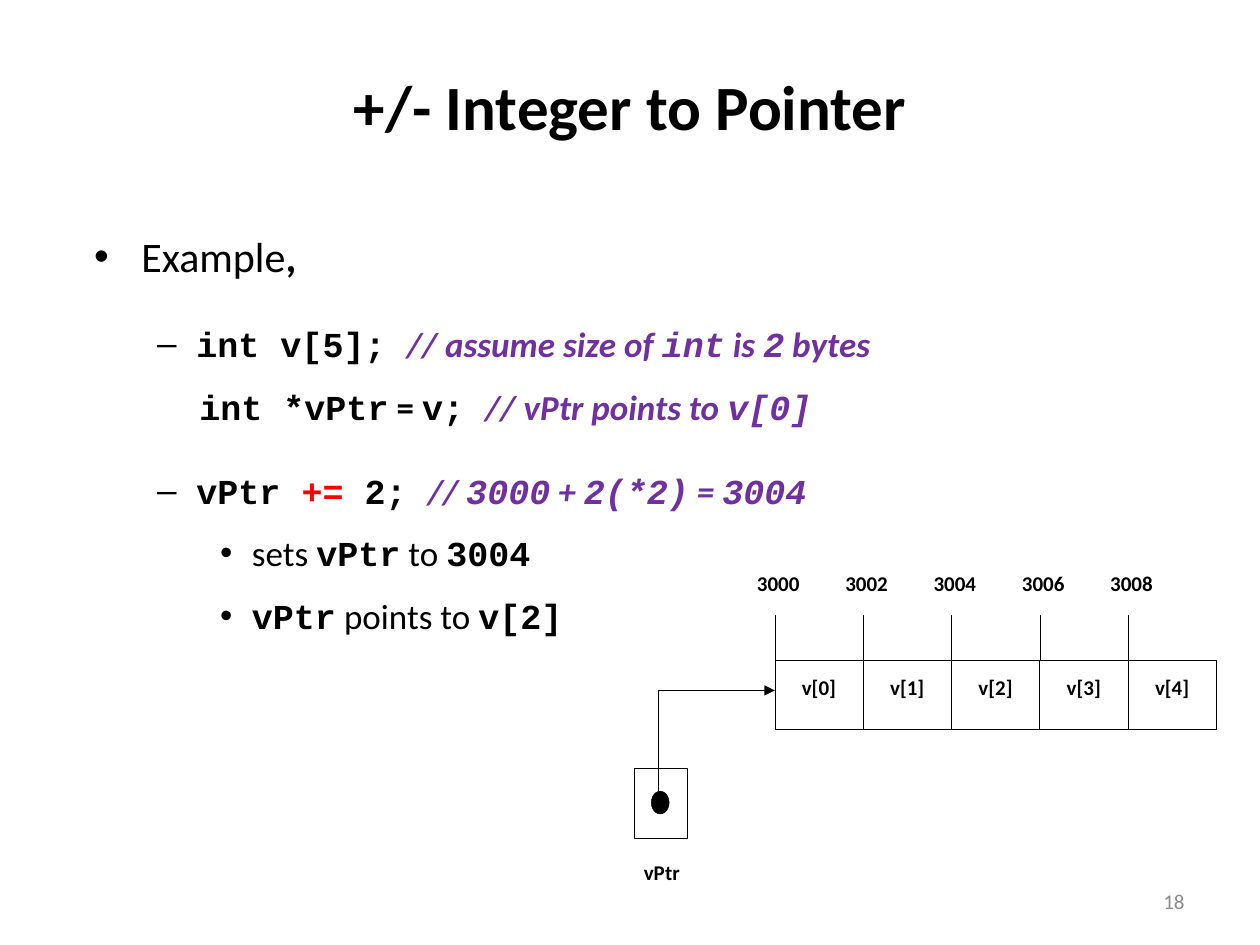
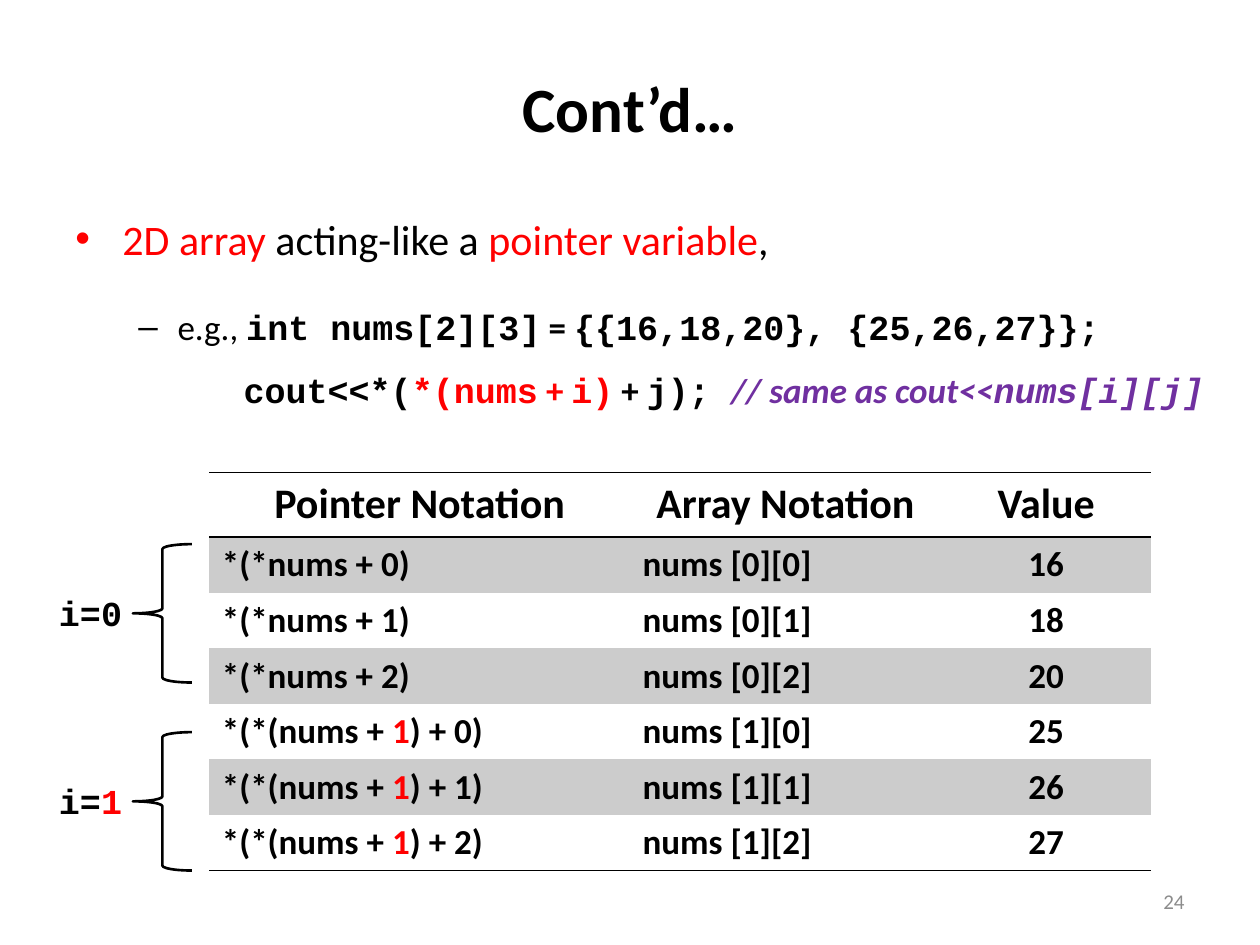
import dataclasses
from typing import NamedTuple

import lxml.etree
import pptx
import pptx.dml.color
import pptx.enum.shapes
import pptx.enum.text
import pptx.oxml.ns
import pptx.slide
import pptx.util

Cm = pptx.util.Cm
Pt = pptx.util.Pt
qn = pptx.oxml.ns.qn
ALIGN = pptx.enum.text.PP_ALIGN
ANCHOR = pptx.enum.text.MSO_ANCHOR
SHAPE = pptx.enum.shapes.MSO_SHAPE


@dataclasses.dataclass(frozen=True)
class Theme:
    sans: str = "Calibri"
    mono: str = "Courier New"
    black: str = "000000"
    red: str = "FF0000"
    purple: str = "7030A0"
    grey: str = "8C8C8C"
    band: str = "CCCCCC"
    title: int = 36
    lead: int = 24
    body: int = 20
    small: int = 12
    hairline: float = 0.25
    rule: float = 1
    brace: float = 1.5


T = Theme()


class Run(NamedTuple):
    text: str
    size: int = T.body
    font: str = T.sans
    color: str = T.black
    bold: bool = False
    italic: bool = False


class Para(NamedTuple):
    runs: list[Run]
    margin: float = 0
    hang: float = 0
    bullet: str = ""
    before: float = 0
    spacing: float = 1
    align: ALIGN = ALIGN.LEFT


class Box(NamedTuple):
    left: float
    top: float
    width: float
    height: float

    def lengths(self) -> list[pptx.util.Length]:
        return [Cm(v) for v in self]


def code(text: str, color: str = T.black) -> Run:
    return Run(text, font=T.mono, color=color, bold=True)


def strong(text: str, color: str = T.black, size: int = T.body) -> Run:
    return Run(text, size, color=color, bold=True)


def note(text: str, font: str = T.sans) -> Run:
    return Run(text, font=font, color=T.purple, bold=True, italic=True)


def note_code(text: str) -> Run:
    return note(text, T.mono)


def lead(*runs: Run) -> Para:
    return Para(list(runs), 0.95, 0.95, "•")


def dash(before: float, spacing: float, *runs: Run) -> Para:
    return Para(list(runs), 2.06, 0.79, "–", before, spacing)


def code_line(margin: float, *runs: Run) -> Para:
    return Para(list(runs), margin, spacing=1.5)


def point(*runs: Run) -> Para:
    return Para(list(runs), 3.18, 0.64, "•", 11.5)


def rgb(color: str) -> pptx.dml.color.RGBColor:
    return pptx.dml.color.RGBColor.from_string(color)


def write(tf: pptx.text.text.TextFrame, paras: list[Para]) -> None:
    for i, para in enumerate(paras):
        p = tf.add_paragraph() if i else tf.paragraphs[0]
        p.alignment = para.align
        p.line_spacing = para.spacing
        p.space_before = Pt(para.before)
        pPr = p._p.get_or_add_pPr()
        pPr.set("marL", str(Cm(para.margin)))
        pPr.set("indent", str(Cm(-para.hang)))
        if para.bullet:
            lxml.etree.SubElement(pPr, qn("a:buFont"), typeface="Arial")
            lxml.etree.SubElement(pPr, qn("a:buChar"), char=para.bullet)
        for run in para.runs:
            r = p.add_run()
            r.text = run.text
            r.font.size = Pt(run.size)
            r.font.name = run.font
            r.font.bold = run.bold
            r.font.italic = run.italic
            r.font.color.rgb = rgb(run.color)


def set_inset(tf: pptx.text.text.TextFrame, top: float = 0) -> None:
    tf.margin_left = tf.margin_right = tf.margin_bottom = 0
    tf.margin_top = Cm(top)


def add_text(s: pptx.slide.Slide, box: Box, paras: list[Para],
             anchor: ANCHOR = ANCHOR.TOP, inset: bool = True) -> None:
    tf = s.shapes.add_textbox(*box.lengths()).text_frame
    tf.word_wrap = True
    tf.vertical_anchor = anchor
    if not inset:
        set_inset(tf)
    write(tf, paras)


def style_outline(sp: pptx.shapes.autoshape.Shape, width: float, fill: str = "") -> None:
    sp.shadow.inherit = False
    sp.line.color.rgb = rgb(T.black)
    sp.line.width = Pt(width)
    if fill:
        sp.fill.solid()
        sp.fill.fore_color.rgb = rgb(fill)
    else:
        sp.fill.background()


def add_outline(s: pptx.slide.Slide, kind: SHAPE, box: Box, width: float = T.hairline,
                fill: str = "") -> pptx.shapes.autoshape.Shape:
    sp = s.shapes.add_shape(kind, *box.lengths())
    style_outline(sp, width, fill)
    return sp


def add_tick(s: pptx.slide.Slide, x: float, top: float, bottom: float) -> None:
    line = s.shapes.add_connector(pptx.enum.shapes.MSO_CONNECTOR.STRAIGHT,
                                  Cm(x), Cm(top), Cm(x), Cm(bottom))
    line.line.color.rgb = rgb(T.black)
    line.line.width = Pt(T.hairline)
    lxml.etree.SubElement(line._element.spPr, qn("a:effectLst"))


def add_arrow(s: pptx.slide.Slide, points: list[tuple[float, float]]) -> None:
    start, *rest = [(Cm(x), Cm(y)) for x, y in points]
    builder = s.shapes.build_freeform(*start)
    builder.add_line_segments(rest, close=False)
    sp = builder.convert_to_shape()
    style_outline(sp, T.hairline)
    lxml.etree.SubElement(sp.line._get_or_add_ln(), qn("a:tailEnd"), type="triangle")


def add_slide(prs: pptx.presentation.Presentation, title: str, title_top: float,
              number: int, body_box: Box, body: list[Para]) -> pptx.slide.Slide:
    s = prs.slides.add_slide(prs.slide_layouts[6])
    add_text(s, Box(1.27, title_top, 22.86, 3.18),
             [Para([strong(title, size=T.title)], align=ALIGN.CENTER)], ANCHOR.MIDDLE)
    add_text(s, body_box, body)
    add_text(s, Box(18.21, 17.65, 5.92, 1.02),
             [Para([Run(str(number), T.small, color=T.grey)], align=ALIGN.RIGHT)], ANCHOR.MIDDLE)
    return s


def draw_memory(s: pptx.slide.Slide) -> None:
    left, top, cell_width, cell_height = 15.62, 13.31, 1.78, 1.4
    for i in range(5):
        x = left + i * cell_width
        cell = add_outline(s, SHAPE.RECTANGLE, Box(x, top, cell_width, cell_height))
        cell.text_frame.vertical_anchor = ANCHOR.TOP
        set_inset(cell.text_frame, 0.28)
        write(cell.text_frame, [Para([strong(f"v[{i}]", size=T.small)], align=ALIGN.CENTER)])
        add_tick(s, x, 12.4, top)
        add_text(s, Box(x - 0.63, 11.51, 1.4, 0.99),
                 [Para([strong(str(3000 + 2 * i), size=T.small)], align=ALIGN.CENTER)], inset=False)
    add_outline(s, SHAPE.RECTANGLE, Box(12.78, 15.49, 1.07, cell_height))
    add_outline(s, SHAPE.OVAL, Box(13.13, 15.95, 0.36, 0.46), fill=T.black)
    add_arrow(s, [(13.28, 15.98), (13.28, 13.92), (left, 13.92)])
    add_text(s, Box(12.98, 17.32, 1.6, 0.99), [Para([strong("vPtr", size=T.small)])], inset=False)


def set_borders(cell: pptx.table._Cell, ruled: set[str]) -> None:
    tcPr = cell._tc.get_or_add_tcPr()
    for side in "LRTB":
        ln = lxml.etree.SubElement(tcPr, qn(f"a:ln{side}"), w=str(Pt(T.rule)))
        if side in ruled:
            fill = lxml.etree.SubElement(ln, qn("a:solidFill"))
            lxml.etree.SubElement(fill, qn("a:srgbClr"), val=T.black)
        else:
            lxml.etree.SubElement(ln, qn("a:noFill"))


def notation_rows() -> list[list[list[Run]]]:
    rows = [[[strong(h, size=T.lead)] for h in ("Pointer Notation", "Array Notation", "Value")]]
    for i, values in enumerate([(16, 18, 20), (25, 26, 27)]):
        for j, value in enumerate(values):
            if i:
                pointer = [strong("*(*(nums + "), strong(str(i), T.red), strong(f") + {j})")]
            else:
                pointer = [strong(f"*(*nums + {j})")]
            rows.append([pointer, [strong(f"nums [{i}][{j}]")], [strong(str(value))]])
    return rows


def draw_notation_table(s: pptx.slide.Slide) -> None:
    rows = notation_rows()
    widths = [8.48, 6.27, 4.24]
    header_height, row_height = 1.3, 1.12
    height = header_height + row_height * (len(rows) - 1)
    box = Box(4.22, 9.53, sum(widths), height)
    table = s.shapes.add_table(len(rows), len(widths), *box.lengths()).table
    table.first_row = table.horz_banding = False
    for column, width in zip(table.columns, widths):
        column.width = Cm(width)
    ruled_edges = {0, 1, len(rows)}
    for y, row in enumerate(rows):
        table.rows[y].height = Cm(row_height if y else header_height)
        ruled = {side for side, edge in (("T", y), ("B", y + 1)) if edge in ruled_edges}
        for x, runs in enumerate(row):
            cell = table.cell(y, x)
            set_borders(cell, ruled)
            if y % 2:
                cell.fill.solid()
                cell.fill.fore_color.rgb = rgb(T.band)
            else:
                cell.fill.background()
            centred = y == 0 or x == 2
            write(cell.text_frame, [Para(runs, align=ALIGN.CENTER if centred else ALIGN.LEFT)])


def draw_braces(s: pptx.slide.Slide) -> None:
    for top, runs in [(10.97, [code("i=0")]), (14.76, [code("i="), code("1", T.red)])]:
        add_outline(s, SHAPE.LEFT_BRACE, Box(2.68, top, 1.19, 2.79), T.brace)
        add_text(s, Box(0.94, top + 0.83, 1.84, 1.12), [Para(runs)])


def main() -> None:
    prs = pptx.Presentation()
    prs.slide_width, prs.slide_height = Cm(25.4), Cm(19.05)

    s = add_slide(prs, "+/- Integer to Pointer", 0.53, 18, Box(1.65, 4.52, 22.86, 14.02), [
        lead(Run("Example", T.lead), strong(",", size=T.lead)),
        dash(12, 1.5, code("int v[5]; "), note("// assume size of "), note_code("int"),
             note(" is "), note_code("2"), note(" bytes")),
        code_line(2.12, code("int *vPtr"), strong(" = "), code("v; "),
                  note("// vPtr points to "), note_code("v[0]")),
        dash(24, 1, code("vPtr "), code("+=", T.red), code(" 2; "), note("// "),
             note_code("3000"), note(" + "), note_code("2(*2)"), note(" = "), note_code("3004")),
        point(Run("sets "), code("vPtr"), Run(" to "), code("3004")),
        point(code("vPtr"), Run(" points to "), code("v[2]")),
    ])
    draw_memory(s)

    s = add_slide(prs, "Cont’d…", 0.58, 24, Box(1.27, 4.17, 23.83, 12.57), [
        lead(Run("2D array ", T.lead, color=T.red), Run("acting-like a ", T.lead),
             Run("pointer variable", T.lead, color=T.red), Run(",", T.lead)),
        dash(12, 1.5, Run("e.g., "), code("int nums[2][3]"), strong(" = "),
             code("{{16,18,20}, {25,26,27}};")),
        code_line(3.39, code("cout<<*("), code("*(nums", T.red), strong(" + ", T.red),
                  code("i)", T.red), strong(" + "), code("j); "),
                  note("// same as cout<<"), note_code("nums[i][j]")),
    ])
    draw_notation_table(s)
    draw_braces(s)

    prs.save("out.pptx")


if __name__ == "__main__":
    main()
